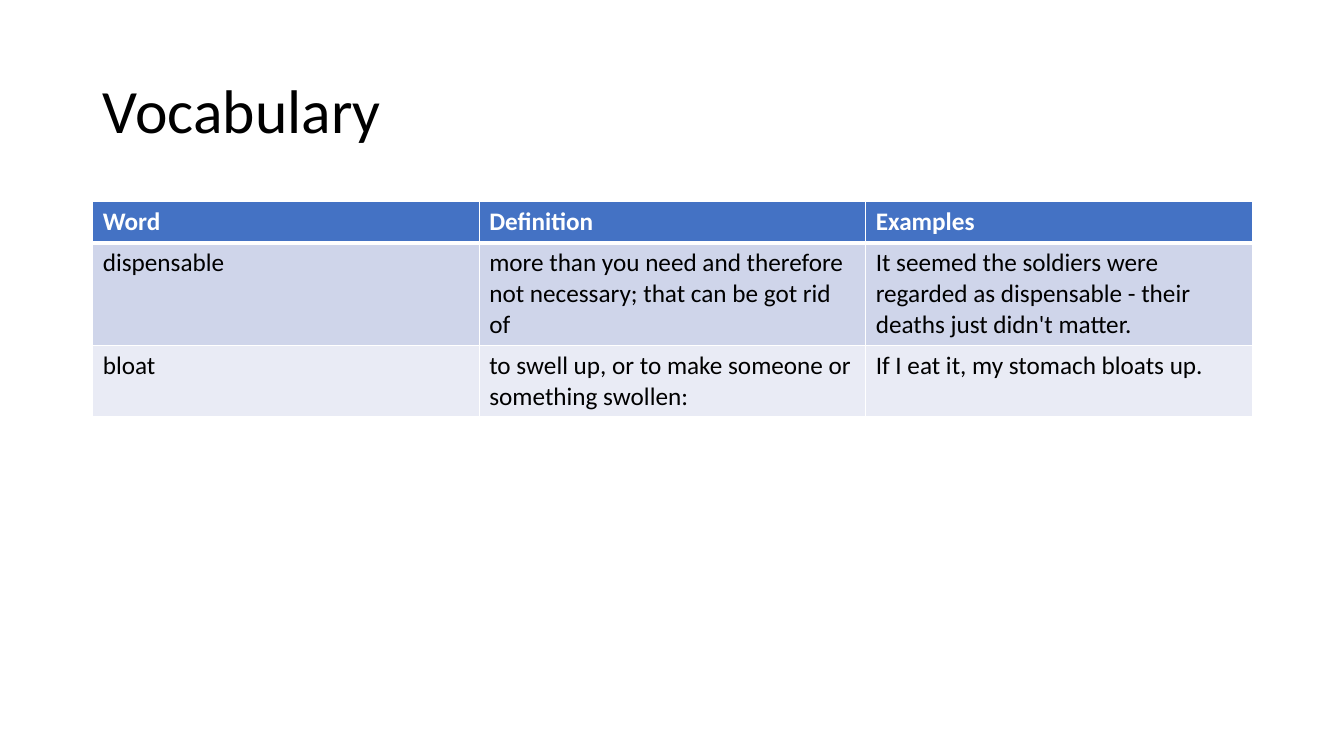
from lxml import etree
from pptx import Presentation
from pptx import util as u
from pptx.dml.color import RGBColor
from pptx.enum import text
from pptx.oxml import ns


def rgb(value):
    return RGBColor.from_string(value)


class Deck:
    font = "Calibri"
    ink = "000000"
    paper = "FFFFFF"
    header = "4472C4"
    bands = ("CFD5EA", "E9EBF5")

    def __init__(self, width, height):
        self.prs = Presentation()
        self.prs.slide_width = u.Inches(width)
        self.prs.slide_height = u.Inches(height)
        self.s = self.prs.slides.add_slide(self.prs.slide_layouts[5])

    def style(self, p, size, color, bold=False):
        p.alignment = text.PP_ALIGN.LEFT
        for r in p.runs:
            r.font.name = self.font
            r.font.size = u.Pt(size)
            r.font.bold = bold
            r.font.color.rgb = rgb(color)

    def title(self, words, left, top, width, height):
        sp = self.s.shapes.title
        sp.left, sp.top = u.Inches(left), u.Inches(top)
        sp.width, sp.height = u.Inches(width), u.Inches(height)
        tf = sp.text_frame
        tf.text = words
        tf.word_wrap = True
        tf.vertical_anchor = text.MSO_ANCHOR.MIDDLE
        p = tf.paragraphs[0]
        p.line_spacing = 0.9
        self.style(p, 44, self.ink)

    def borders(self, cell, **widths):
        tcPr = cell._tc.get_or_add_tcPr()
        for i, (side, width) in enumerate(widths.items()):
            ln = etree.Element(ns.qn(f"a:ln{side}"), w=str(u.Pt(width)))
            fill = etree.SubElement(ln, ns.qn("a:solidFill"))
            etree.SubElement(fill, ns.qn("a:srgbClr"), val=self.paper)
            tcPr.insert(i, ln)

    def table(self, rows, left, top, width, row_height):
        frame = self.s.shapes.add_table(
            len(rows), len(rows[0]), u.Inches(left), u.Inches(top),
            u.Inches(width), u.Inches(row_height * len(rows)))
        for i, row in enumerate(rows):
            head = i == 0
            fill = self.header if head else self.bands[(i - 1) % 2]
            for j, words in enumerate(row):
                cell = frame.table.cell(i, j)
                cell.text_frame.text = words
                self.style(cell.text_frame.paragraphs[0], 18,
                           self.paper if head else self.ink, head)
                cell.fill.solid()
                cell.fill.fore_color.rgb = rgb(fill)
                self.borders(cell, L=1, R=1, T=3 if i == 1 else 1,
                             B=3 if head else 1)


deck = Deck(13.33, 7.5)
deck.title("Vocabulary", 0.92, 0.4, 11.5, 1.45)
deck.table([
    ("Word", "Definition", "Examples"),
    ("dispensable",
     "more than you need and therefore not necessary; that can be got rid of",
     "It seemed the soldiers were regarded as dispensable - "
     "their deaths just didn't matter."),
    ("bloat",
     "to swell up, or to make someone or something swollen: ",
     "If I eat it, my stomach bloats up."),
], 0.92, 2, 11.5, 0.41)
deck.prs.save("out.pptx")
